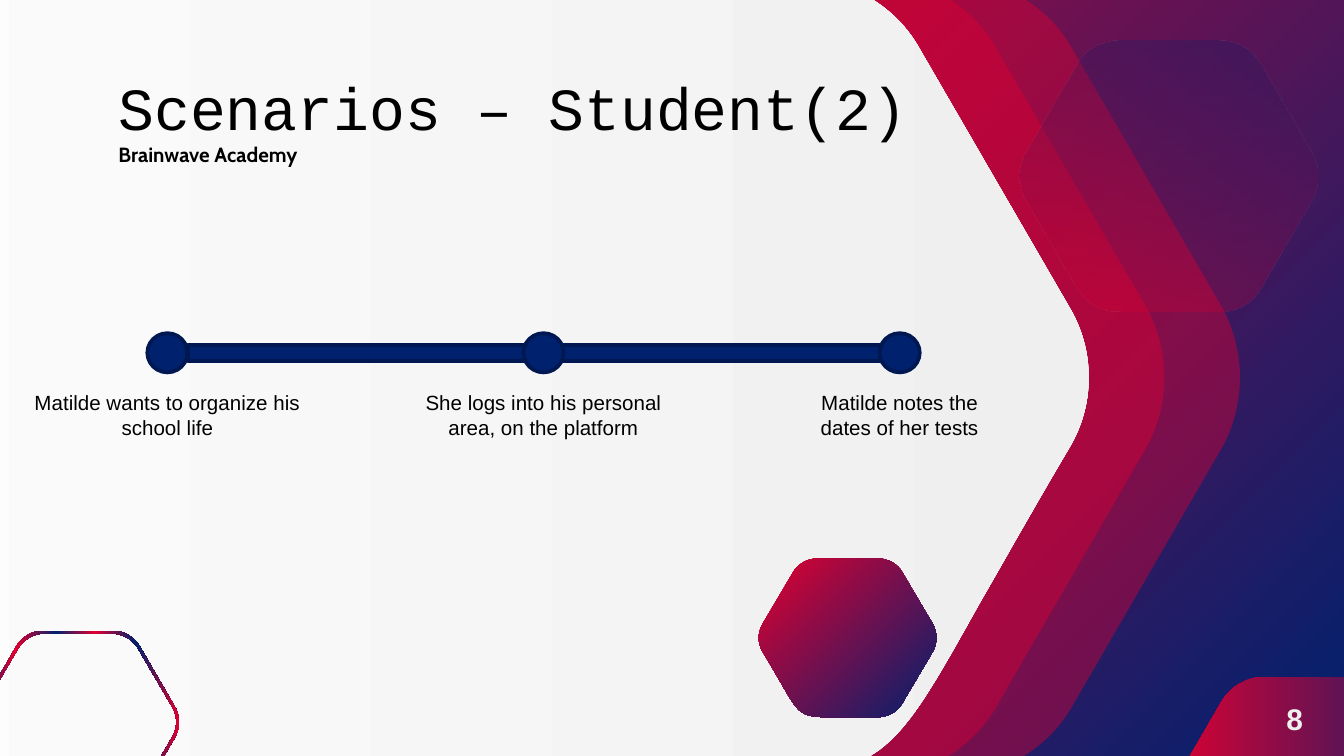
from dataclasses import dataclass

from lxml.etree import SubElement
from pptx import Presentation
from pptx.dml.color import RGBColor
from pptx.enum.shapes import MSO_SHAPE
from pptx.enum.text import MSO_ANCHOR, MSO_AUTO_SIZE, PP_ALIGN
from pptx.oxml.ns import qn
from pptx.util import Pt

RED = RGBColor(0xE2, 0x00, 0x30)
NAVY = RGBColor(0x00, 0x21, 0x6E)
DARK_NAVY = RGBColor(0x00, 0x18, 0x51)
WHITE = RGBColor(0xFF, 0xFF, 0xFF)
PALE_GREY = RGBColor(0xEF, 0xEF, 0xEF)
BLACK = RGBColor(0x00, 0x00, 0x00)

# Rounded hexagon on a 1000 x 1000 grid: one point is a line, three are a curve
HEXAGON_START = (333, 0)
HEXAGON_STEPS = [
    [(277, 0), (224, 34), (197, 89)],
    [(29, 412)],
    [(0, 466), (0, 534), (29, 588)],
    [(71, 667), (103, 731), (130, 783)],
    [(227, 976), (238, 1000), (393, 1000)],
    [(669, 1000)],
    [(725, 1000), (778, 965), (805, 911)],
    [(973, 588)],
    [(1000, 534), (1000, 466), (973, 412)],
    [(805, 89)],
    [(778, 34), (725, 0), (669, 0)],
]


@dataclass
class Stop:
    position: int
    color: RGBColor
    opacity: int = 100


@dataclass
class Hexagon:
    left: float
    top: float
    width: float
    height: float
    stops: list[Stop]
    angle: int = 0
    mirrored: bool = False
    stretch: float = 0  # extra length on the left of a mirrored hexagon
    ring: float = 0  # wall thickness; 0 is solid


@dataclass
class Milestone:
    center: float
    caption: str
    caption_width: float


RED_VEIL = [Stop(0, RED, 41)]
RED_TO_NAVY = [Stop(0, RED), Stop(100, NAVY)]
STRIPES = [Stop(position, NAVY if index % 2 == 0 else RED)
           for index, position in enumerate((0, 19, 39, 58, 78, 100))]

HEXAGONS = [
    Hexagon(191.5, -11.5, 476, 427.5, RED_VEIL),
    Hexagon(151, -11.5, 476, 427.5, RED_VEIL),
    Hexagon(110.7, -11.5, 476, 427.5, [Stop(0, WHITE), Stop(100, PALE_GREY)],
            mirrored=True, stretch=300),
    Hexagon(-12.8, 337.9, 109.5, 98, STRIPES, mirrored=True, ring=1.5),
    Hexagon(620, 362.7, 173, 155, RED_TO_NAVY),
    Hexagon(545, 21.6, 162, 145.5, [Stop(0, NAVY, 22), Stop(100, RED, 23)], angle=90),
    Hexagon(405.8, 299.2, 96.5, 85, RED_TO_NAVY, angle=45),
]

MILESTONES = [
    Milestone(89.7, "Matilde wants to organize his school life", 160.5),
    Milestone(291.2, "She logs into his personal area, on the platform", 160.5),
    Milestone(482, "Matilde notes the dates of her tests", 127.5),
]
TIMELINE_Y = 189


def add_color(parent, stop: Stop) -> None:
    color = SubElement(parent, qn("a:srgbClr"), val=str(stop.color))
    if stop.opacity < 100:
        SubElement(color, qn("a:alpha"), val=str(stop.opacity * 1000))


def paint(fill, element, stops: list[Stop], angle: int = 0) -> None:
    """Fill with one colour, or with a gradient when there are more stops."""
    if len(stops) == 1:
        fill.solid()
        fill.fore_color.rgb = stops[0].color
        solid = next(element.iter(qn("a:solidFill")))
        solid.remove(solid[0])
        add_color(solid, stops[0])
        return
    fill.gradient()
    fill.gradient_angle = -angle % 360
    stop_list = next(element.iter(qn("a:gsLst")))
    for old_stop in list(stop_list):
        stop_list.remove(old_stop)
    for stop in stops:
        add_color(SubElement(stop_list, qn("a:gs"), pos=str(stop.position * 1000)), stop)


def outline(hexagon: Hexagon, inset: float = 0) -> list[tuple[int, int]]:
    points = []
    for x, y in [HEXAGON_START, *sum(HEXAGON_STEPS, [])]:
        shift = 0
        if hexagon.mirrored:
            x = 1000 - x
            shift = hexagon.stretch if x < 500 else 0
        across = hexagon.left + inset + x / 1000 * (hexagon.width - 2 * inset) - shift
        down = hexagon.top + inset + y / 1000 * (hexagon.height - 2 * inset)
        points.append((Pt(across), Pt(down)))
    return points


def round_corners(shape, contours: int) -> None:
    """Join each run of three control points into one cubic curve."""
    segments = iter(list(shape.element.iter(qn("a:lnTo"))))
    for step in HEXAGON_STEPS * contours:
        first, *others = [next(segments) for _ in step]
        if others:
            curve = SubElement(first.getparent(), qn("a:cubicBezTo"))
            first.addprevious(curve)
            for segment in (first, *others):
                curve.append(segment[0])
                segment.getparent().remove(segment)


def draw_hexagon(page, hexagon: Hexagon) -> None:
    insets = [0, hexagon.ring] if hexagon.ring else [0]
    contours = [outline(hexagon, inset) for inset in insets]
    builder = page.shapes.build_freeform(*contours[0][0], scale=1.0)
    for index, points in enumerate(contours):
        if index:
            builder.move_to(*points[0])
        builder.add_line_segments(points[1:], close=True)
    shape = builder.convert_to_shape()
    round_corners(shape, len(contours))
    shape.shadow.inherit = False
    paint(shape.fill, shape.element.spPr, hexagon.stops, hexagon.angle)
    shape.line.fill.background()


def draw_navy_shape(page, kind: MSO_SHAPE, left: float, top: float,
                    width: float, height: float) -> None:
    shape = page.shapes.add_shape(kind, Pt(left), Pt(top), Pt(width), Pt(height))
    shape.shadow.inherit = False
    shape.fill.solid()
    shape.fill.fore_color.rgb = NAVY
    shape.line.color.rgb = DARK_NAVY
    shape.line.width = Pt(2)


def draw_dot(page, milestone: Milestone) -> None:
    draw_navy_shape(page, MSO_SHAPE.OVAL, milestone.center - 10.75, TIMELINE_Y - 10.5, 21.5, 21)


def write(para, text: str, *, size: float, font: str = "Arial",
          color: RGBColor = BLACK, bold: bool = False) -> None:
    span = para.add_run()
    span.text = text
    span.font.size = Pt(size)
    span.font.name = font
    span.font.bold = bold
    span.font.color.rgb = color


def set_frame(box, *, anchor: MSO_ANCHOR, align: PP_ALIGN, vertical_margin: float,
              auto_size: MSO_AUTO_SIZE = MSO_AUTO_SIZE.NONE):
    frame = box.text_frame
    frame.word_wrap = True
    frame.auto_size = auto_size
    frame.vertical_anchor = anchor
    frame.margin_left = frame.margin_right = Pt(7.2)
    frame.margin_top = frame.margin_bottom = Pt(vertical_margin)
    para = frame.paragraphs[0]
    para.alignment = align
    return para


def main() -> None:
    deck = Presentation()
    deck.slide_width, deck.slide_height = Pt(720), Pt(405)
    page = deck.slides.add_slide(deck.slide_layouts[5])

    # Background and hexagons
    background = page.background.fill
    background.solid()
    paint(background, page.element, RED_TO_NAVY, 45)
    for hexagon in HEXAGONS:
        draw_hexagon(page, hexagon)

    # Page number
    box = page.shapes.add_textbox(Pt(667.3), Pt(362.7), Pt(52.5), Pt(44.5))
    para = set_frame(box, anchor=MSO_ANCHOR.MIDDLE, align=PP_ALIGN.CENTER, vertical_margin=7.2)
    write(para, "8", size=16, color=PALE_GREY, bold=True)

    # Title, brought in front of the hexagons
    title = page.shapes.title
    title.left, title.top, title.width, title.height = Pt(56.2), Pt(42.4), Pt(607.5), Pt(42.5)
    title.element.getparent().append(title.element)
    para = set_frame(title, anchor=MSO_ANCHOR.MIDDLE, align=PP_ALIGN.LEFT, vertical_margin=7.2)
    write(para, "Scenarios – Student(2)", size=32, font="Courier New")
    para.add_line_break()
    write(para, "Brainwave Academy", size=11, font="Cabin", bold=True)

    # Timeline
    draw_dot(page, MILESTONES[0])
    draw_navy_shape(page, MSO_SHAPE.RECTANGLE, 100.8, TIMELINE_Y - 4.3, 370.8, 8.6)
    for milestone in MILESTONES[1:]:
        draw_dot(page, milestone)

    # Captions, centred under the dots
    for milestone in MILESTONES:
        box = page.shapes.add_textbox(Pt(milestone.center - milestone.caption_width / 2),
                                      Pt(205.4), Pt(milestone.caption_width), Pt(33.8))
        para = set_frame(box, anchor=MSO_ANCHOR.TOP, align=PP_ALIGN.CENTER, vertical_margin=3.6,
                         auto_size=MSO_AUTO_SIZE.SHAPE_TO_FIT_TEXT)
        write(para, milestone.caption, size=11)

    deck.save("out.pptx")


if __name__ == "__main__":
    main()
